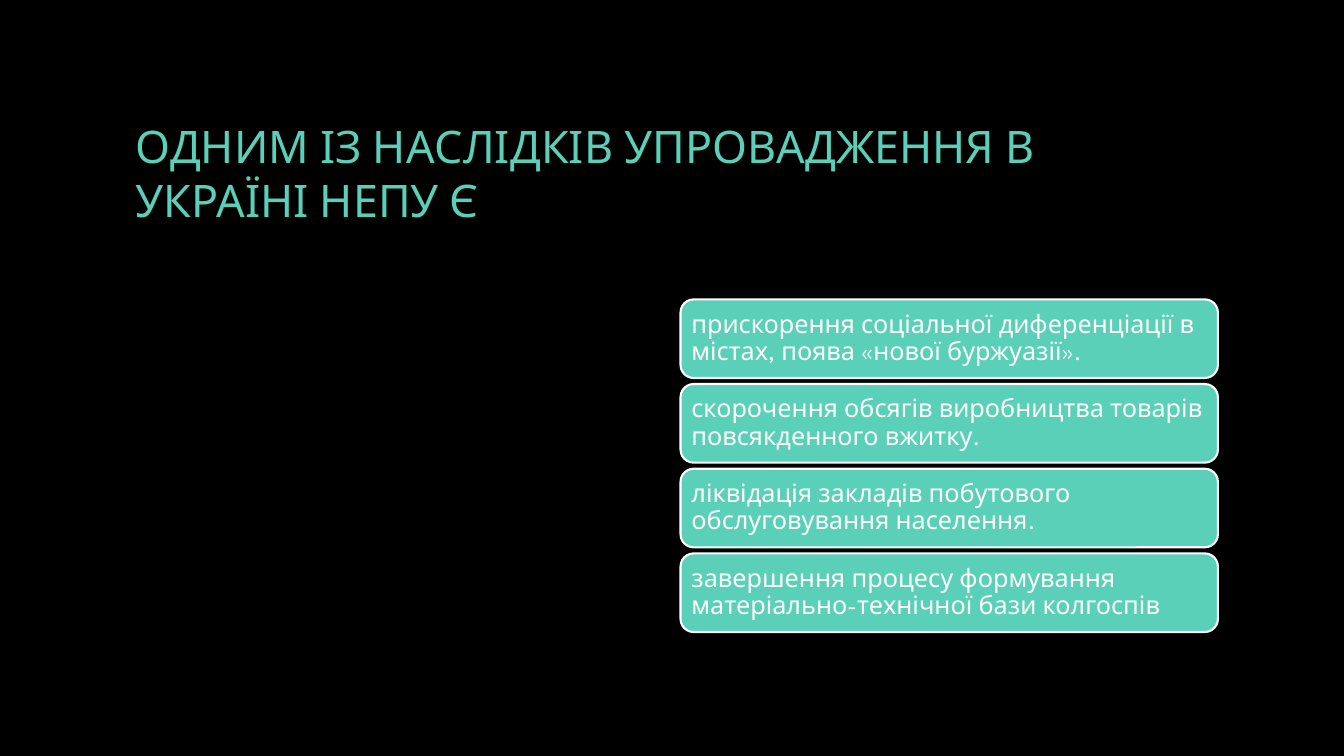
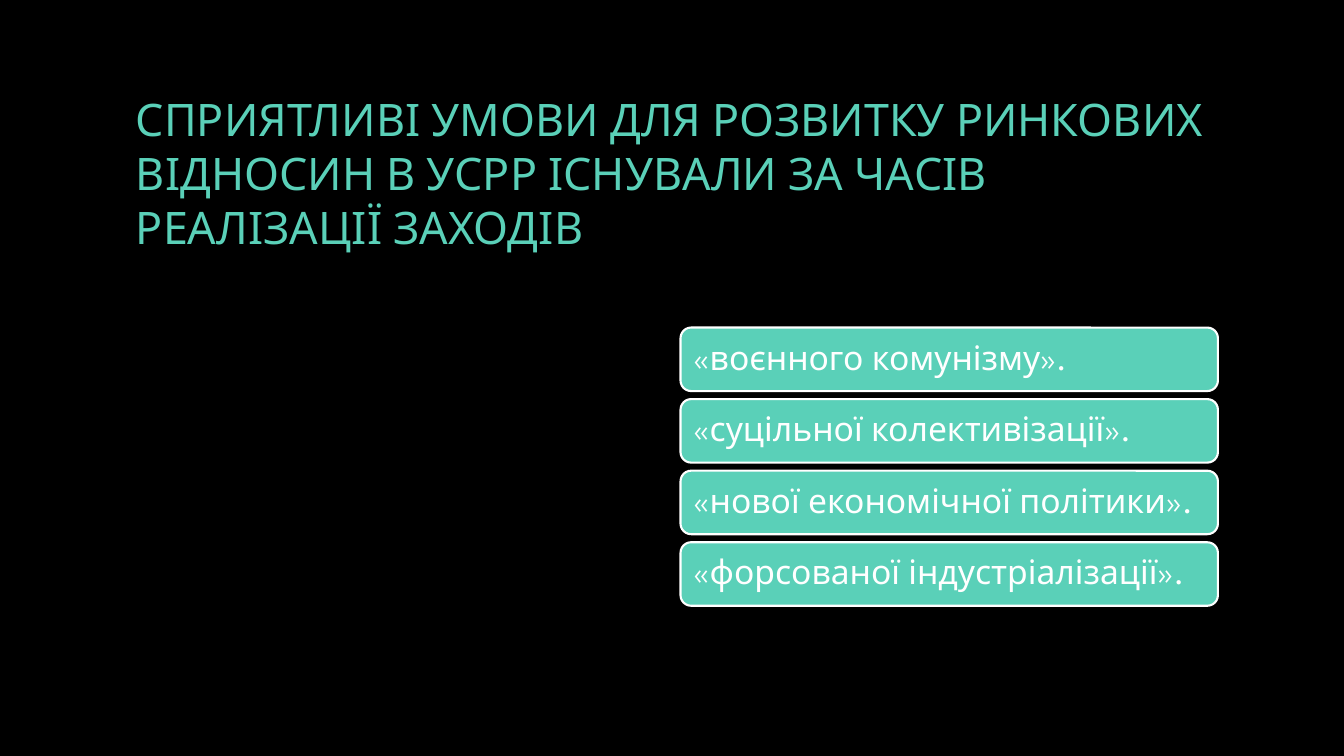
from pptx import Presentation
from pptx.dml.color import RGBColor
from pptx.enum.shapes import MSO_SHAPE
from pptx.enum.text import MSO_ANCHOR, PP_ALIGN
from pptx.util import Emu, Pt

FONT = "League Spartan"
BLACK, MINT, WHITE = "000000", "5AD0B8", "FFFFFF"
CARD_LEFT, CARD_WIDTH = 675, 533

QUESTIONS = [
    {
        "title": "ОДНИМ ІЗ НАСЛІДКІВ УПРОВАДЖЕННЯ В УКРАЇНІ НЕПУ Є",
        "answers": [
            "прискорення соціальної диференціації в містах, поява «нової буржуазії».",
            "скорочення обсягів виробництва товарів повсякденного вжитку.",
            "ліквідація закладів побутового обслуговування населення.",
            "завершення процесу формування матеріально-технічної бази колгоспів",
        ],
        "top": 297, "height": 78, "gap": 6, "inset": 7, "size": 18,
    },
    {
        "title": "СПРИЯТЛИВІ УМОВИ ДЛЯ РОЗВИТКУ РИНКОВИХ ВІДНОСИН В УСРР "
                 "ІСНУВАЛИ ЗА ЧАСІВ РЕАЛІЗАЦІЇ ЗАХОДІВ",
        "answers": [
            "«воєнного комунізму».",
            "«суцільної колективізації».",
            "«нової економічної політики».",
            "«форсованої індустріалізації».",
        ],
        "top": 325, "height": 63, "gap": 8, "inset": 10, "size": 24,
    },
]


def px(length):
    """Turn px, a hundred to the inch, into EMU."""
    return Emu(length * 9144)


def paint(color_format, color):
    """Give a fill a solid colour from a hex string."""
    color_format.solid()
    color_format.fore_color.rgb = RGBColor.from_string(color)


def write(shape, text, size, color, inset, spacing):
    """Put one left-aligned, vertically centred paragraph into a shape."""
    frame = shape.text_frame
    frame.text = text
    frame.word_wrap = True
    frame.vertical_anchor = MSO_ANCHOR.MIDDLE
    frame.margin_left = frame.margin_right = px(inset)
    frame.margin_top = frame.margin_bottom = px(inset)
    para = frame.paragraphs[0]
    para.alignment = PP_ALIGN.LEFT
    para.line_spacing = spacing
    span = para.runs[0]
    span.font.name = FONT
    span.font.size = Pt(size)
    paint(span.font.fill, color)


def add_title(page, text):
    """Add the slide title."""
    box = page.shapes.add_textbox(px(125), px(67), px(1083), px(208))
    write(box, text, 32, MINT, inset=10, spacing=1.0)


def add_answers(page, answers, top, height, gap, inset, size):
    """Stack the answers as equally spaced rounded cards."""
    for index, answer in enumerate(answers):
        card = page.shapes.add_shape(
            MSO_SHAPE.ROUNDED_RECTANGLE,
            px(CARD_LEFT), px(top + index * (height + gap)), px(CARD_WIDTH), px(height))
        card.shadow.inherit = False
        paint(card.fill, MINT)
        paint(card.line.fill, WHITE)
        card.line.width = Pt(1.5)
        write(card, answer, size, WHITE, inset, spacing=0.9)


def main():
    """Build and save the deck."""
    deck = Presentation()
    deck.slide_width, deck.slide_height = px(1333), px(750)
    paint(deck.slide_master.background.fill, BLACK)
    for question in QUESTIONS:
        page = deck.slides.add_slide(deck.slide_layouts[6])
        add_title(page, question["title"])
        add_answers(page, question["answers"], question["top"], question["height"],
                    question["gap"], question["inset"], question["size"])
    deck.save("out.pptx")


if __name__ == "__main__":
    main()
